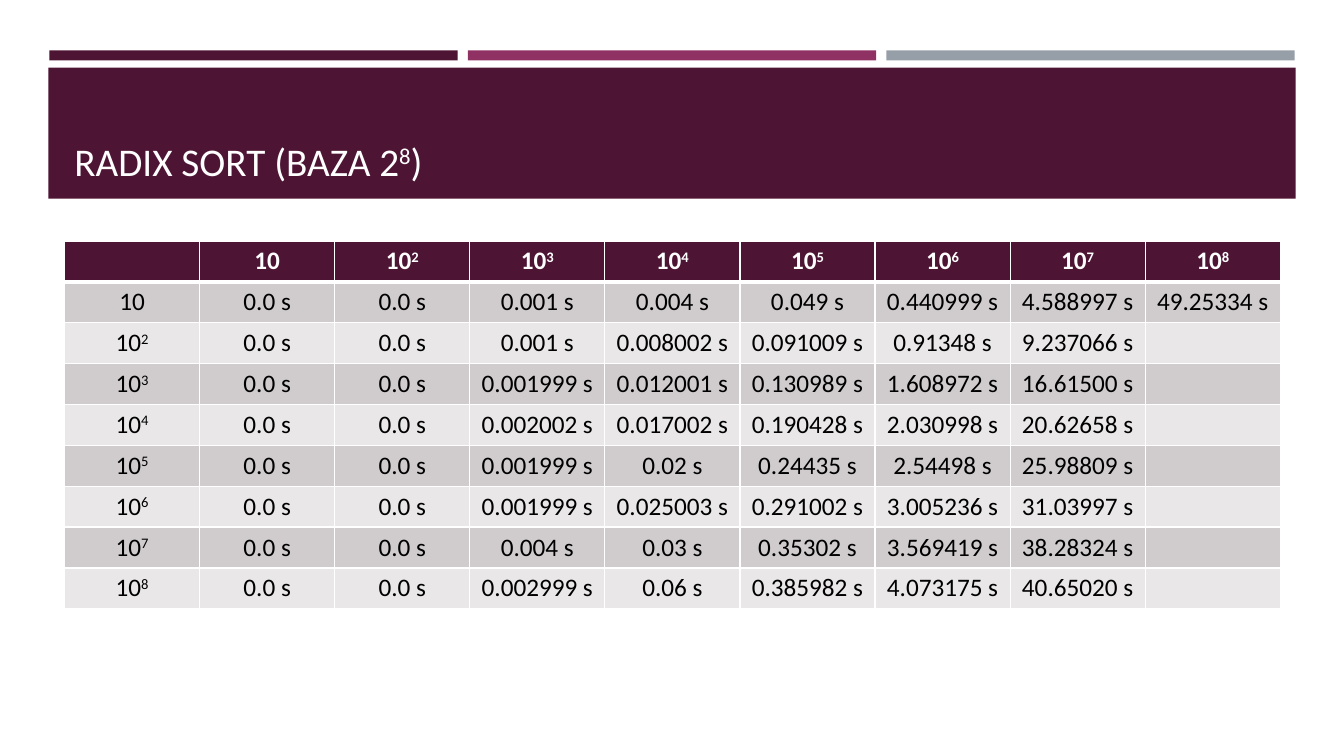
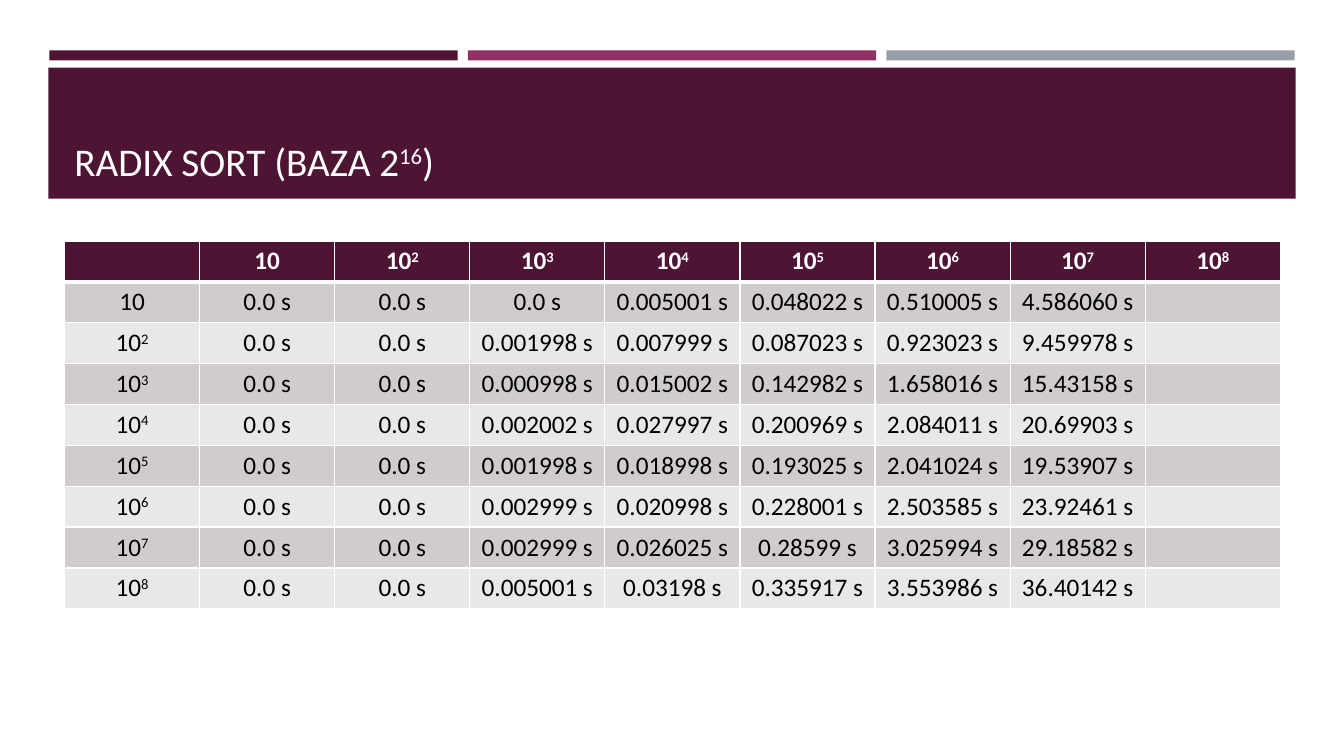
from lxml import etree
from pptx import Presentation
from pptx.dml.color import RGBColor
from pptx.enum.shapes import MSO_SHAPE
from pptx.enum.text import MSO_ANCHOR, PP_ALIGN
from pptx.oxml.ns import qn
from pptx.util import Inches, Pt

RECTANGLE = MSO_SHAPE.RECTANGLE
BOTTOM = MSO_ANCHOR.BOTTOM
LEFT, CENTER = PP_ALIGN.LEFT, PP_ALIGN.CENTER

FONT = "Calibri"
PLUM, MAGENTA, GREY = "4D1434", "903163", "969FA7"
WHITE, BLACK = "FFFFFF", "000000"
ROW_FILLS = ("D0CCCE", "E9E7E8")

# Boxes are left, top, width, height in inches.
STRIPE_BOX = (0.49, 0.5, 12.35, 0.1)
STRIPE_GAP = 0.1
BAND_BOX = (0.48, 0.67, 12.37, 1.3)
TITLE_BOX = (0.64, 0.77, 12.06, 1.11)
TABLE_BOX = (0.64, 2.39, 12.06, 3.65)

SIZES = ["10"] + [f"10^{power}" for power in range(2, 9)]

# One line per row; times in seconds, missing ones at the end of a line.
SLIDES = [
    ("RADIX SORT (BAZA 2^8^)", """
        0.0 0.0 0.001 0.004 0.049 0.440999 4.588997 49.25334
        0.0 0.0 0.001 0.008002 0.091009 0.91348 9.237066
        0.0 0.0 0.001999 0.012001 0.130989 1.608972 16.61500
        0.0 0.0 0.002002 0.017002 0.190428 2.030998 20.62658
        0.0 0.0 0.001999 0.02 0.24435 2.54498 25.98809
        0.0 0.0 0.001999 0.025003 0.291002 3.005236 31.03997
        0.0 0.0 0.004 0.03 0.35302 3.569419 38.28324
        0.0 0.0 0.002999 0.06 0.385982 4.073175 40.65020"""),
    ("RADIX SORT (BAZA 2^16^)", """
        0.0 0.0 0.0 0.005001 0.048022 0.510005 4.586060
        0.0 0.0 0.001998 0.007999 0.087023 0.923023 9.459978
        0.0 0.0 0.000998 0.015002 0.142982 1.658016 15.43158
        0.0 0.0 0.002002 0.027997 0.200969 2.084011 20.69903
        0.0 0.0 0.001998 0.018998 0.193025 2.041024 19.53907
        0.0 0.0 0.002999 0.020998 0.228001 2.503585 23.92461
        0.0 0.0 0.002999 0.026025 0.28599 3.025994 29.18582
        0.0 0.0 0.005001 0.03198 0.335917 3.553986 36.40142"""),
]


def color(value):
    return RGBColor.from_string(value)


def inches(box):
    return [Inches(length) for length in box]


def write_text(text_frame, text, size=18, fill=BLACK, bold=False, align=LEFT):
    """Write one paragraph; each ^ switches superscript on or off."""
    paragraph = text_frame.paragraphs[0]
    paragraph.alignment = align
    paragraph.font.size = Pt(size)
    for index, part in enumerate(text.split("^")):
        if not part:
            continue
        run = paragraph.add_run()
        run.text = part
        run.font.name = FONT
        run.font.size = Pt(size)
        run.font.bold = bold
        run.font.color.rgb = color(fill)
        if index % 2:
            run._r.get_or_add_rPr().set("baseline", "30000")


def add_rectangle(slide, box, fill):
    shape = slide.shapes.add_shape(RECTANGLE, *inches(box))
    shape.shadow.inherit = False
    shape.fill.solid()
    shape.fill.fore_color.rgb = color(fill)
    shape.line.fill.background()


def add_stripes(slide, box):
    left, top, width, height = box
    fills = (PLUM, MAGENTA, GREY)
    stripe = (width - STRIPE_GAP * (len(fills) - 1)) / len(fills)
    for index, fill in enumerate(fills):
        stripe_left = left + index * (stripe + STRIPE_GAP)
        add_rectangle(slide, (stripe_left, top, stripe, height), fill)


def add_title(slide, box, text):
    text_frame = slide.shapes.add_textbox(*inches(box)).text_frame
    text_frame.word_wrap = True
    text_frame.vertical_anchor = BOTTOM
    write_text(text_frame, text, size=28, fill=WHITE)


def set_borders(cell, top=1, bottom=1):
    """Draw white cell borders; call before the cell gets its fill."""
    properties = cell._tc.get_or_add_tcPr()
    for side, width in (("L", 1), ("R", 1), ("T", top), ("B", bottom)):
        line = etree.SubElement(properties, qn(f"a:ln{side}"), w=str(Pt(width)))
        solid = etree.SubElement(line, qn("a:solidFill"))
        etree.SubElement(solid, qn("a:srgbClr"), val=WHITE)


def table_rows(times):
    """Return the header row and the labelled rows of times, all equally long."""
    rows = [[""] + SIZES]
    for label, line in zip(SIZES, times.strip().splitlines()):
        values = [f"{value} s" for value in line.split()]
        rows.append([label] + values + [""] * (len(SIZES) - len(values)))
    return rows


def add_times_table(slide, box, rows):
    row_count, column_count = len(rows), len(rows[0])
    left, top, width, height = inches(box)
    table = slide.shapes.add_table(
        row_count, column_count, left, top, width, height).table
    table.horz_banding = False
    for column in table.columns:
        column.width = width // column_count
    for row_index, texts in enumerate(rows):
        table.rows[row_index].height = height // row_count
        header = row_index == 0
        fill = PLUM if header else ROW_FILLS[(row_index - 1) % 2]
        for column_index, text in enumerate(texts):
            cell = table.cell(row_index, column_index)
            set_borders(cell, top=3 if row_index == 1 else 1,
                        bottom=3 if header else 1)
            cell.fill.solid()
            cell.fill.fore_color.rgb = color(fill)
            write_text(cell.text_frame, text, bold=header, align=CENTER,
                       fill=WHITE if header else BLACK)


def add_times_slide(presentation, title, times):
    slide = presentation.slides.add_slide(presentation.slide_layouts[6])
    add_stripes(slide, STRIPE_BOX)
    add_rectangle(slide, BAND_BOX, PLUM)
    add_title(slide, TITLE_BOX, title)
    add_times_table(slide, TABLE_BOX, table_rows(times))


def main():
    presentation = Presentation()
    presentation.slide_width = Inches(13.33)
    presentation.slide_height = Inches(7.5)
    for title, times in SLIDES:
        add_times_slide(presentation, title, times)
    presentation.save("out.pptx")


if __name__ == "__main__":
    main()
